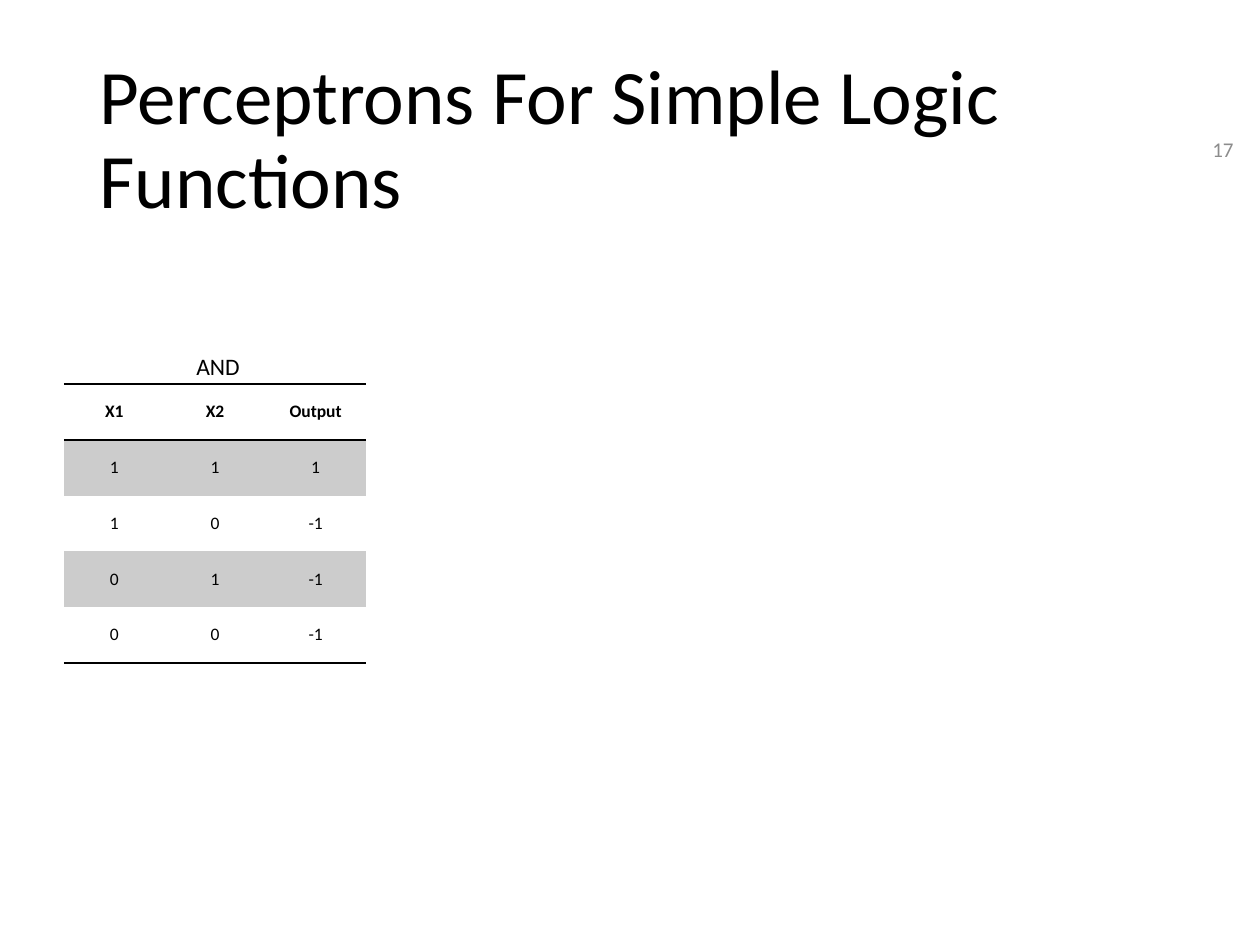
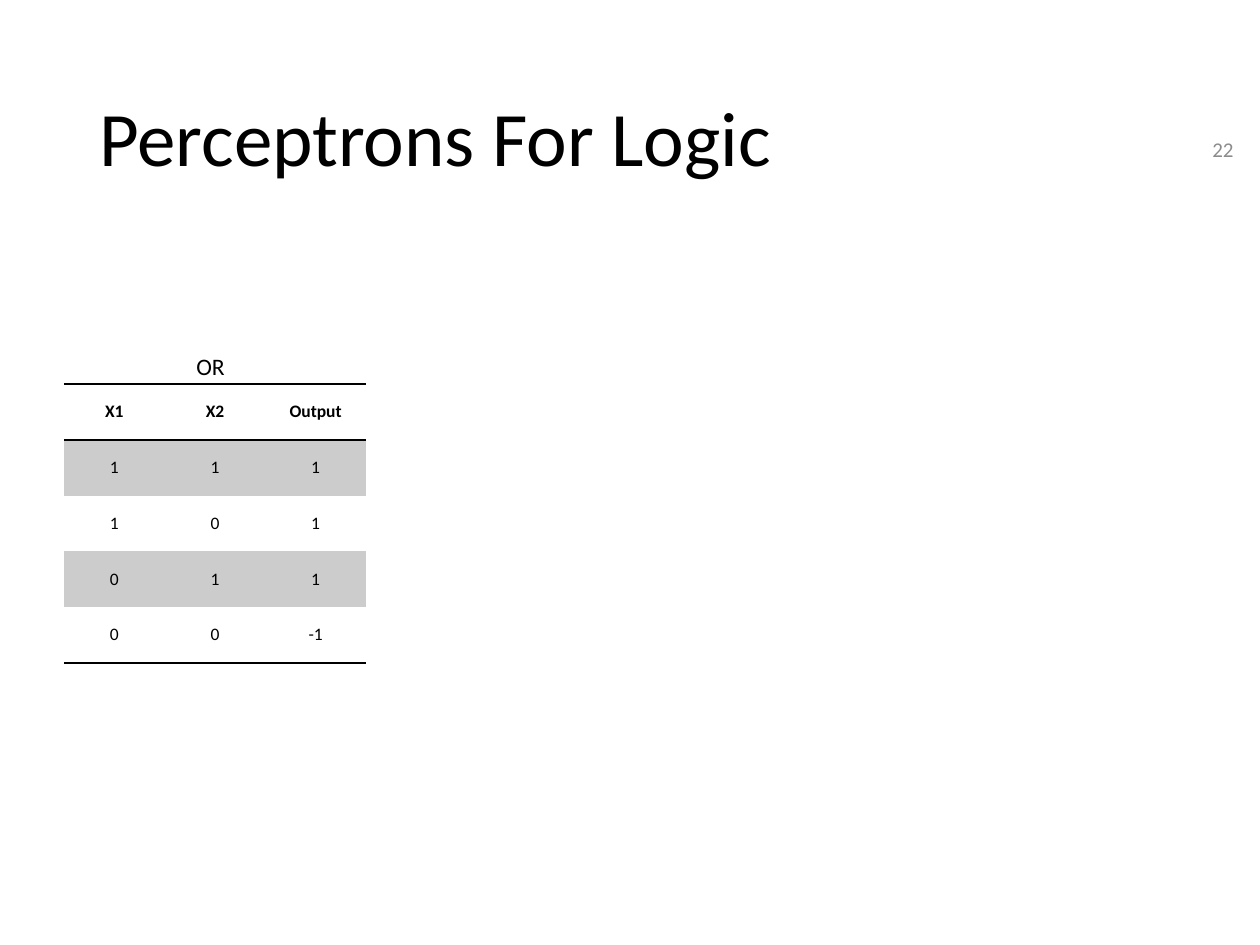
from itertools import product

from lxml import etree
from pptx import Presentation
from pptx import util as u
from pptx.dml.color import RGBColor
from pptx.enum import text as t
from pptx.oxml.ns import qn

BLACK, GREY, BAND = "000000", "8C8C8C", "CCCCCC"
FONT = "Calibri"
PLAIN_STYLE = "{2D5ABB26-0587-4C30-8999-92F81FD0307C}"  # no style, no grid
WIDTH, HEIGHT = 1260, 945
TITLE_BOX = (87, 50, 1086, 183)
NUMBER_BOX = (963, 130, 283, 38)
TABLE_BOX = (64, 384, 302, 279)


def px(n):
    return u.Emu(round(n * 914400 / 126))


def color(code):
    return RGBColor.from_string(code)


def write(frame, words, size, code=BLACK, bold=False, align=t.PP_ALIGN.LEFT,
          spacing=None):
    par = frame.paragraphs[0]
    par.alignment = align
    par.line_spacing = spacing
    run = par.add_run()
    run.text = words
    font = run.font
    font.name, font.size, font.bold = FONT, u.Pt(size), bold
    font.color.rgb = color(code)


def label(slide, box, words, size, anchor=t.MSO_ANCHOR.MIDDLE,
          fit=t.MSO_AUTO_SIZE.NONE, **style):
    frame = slide.shapes.add_textbox(*map(px, box)).text_frame
    frame.word_wrap = True
    frame.auto_size = fit
    frame.vertical_anchor = anchor
    write(frame, words, size, **style)


def rule(cell, side):
    """Draw a thin black border on side T or B of a cell."""
    line = etree.SubElement(cell._tc.get_or_add_tcPr(), qn("a:ln" + side),
                            w=str(u.Pt(1)))
    fill = etree.SubElement(line, qn("a:solidFill"))
    etree.SubElement(fill, qn("a:srgbClr"), val=BLACK)


def fill_cell(cell, words, row, last):
    head = row == 0
    cell.margin_left = cell.margin_right = px(9)
    cell.margin_top = cell.margin_bottom = px(5)
    cell.vertical_anchor = t.MSO_ANCHOR.MIDDLE
    if head:
        rule(cell, "T")
    if head or row == last:
        rule(cell, "B")
    if row % 2:
        cell.fill.solid()
        cell.fill.fore_color.rgb = color(BAND)
    else:
        cell.fill.background()
    write(cell.text_frame, words, 10, bold=head, align=t.PP_ALIGN.CENTER)


def truth_table(slide, box, name, gate):
    """Tabulate a gate (all or any) over two inputs, with its name above."""
    x, y, w, h = box
    rows = [("X1", "X2", "Output")]
    rows += [(*pair, 1 if gate(pair) else -1)
             for pair in product((1, 0), repeat=2)]
    table = slide.shapes.add_table(len(rows), len(rows[0]),
                                   *map(px, box)).table
    table._tbl.tblPr.find(qn("a:tableStyleId")).text = PLAIN_STYLE
    for col in table.columns:
        col.width = px(w / len(rows[0]))
    for r, row in enumerate(rows):
        table.rows[r].height = px(h / len(rows))
        for c, value in enumerate(row):
            fill_cell(table.cell(r, c), str(value), r, len(rows) - 1)
    label(slide, (x + 120, y - 38, 164, 42), name, 13.5,
          anchor=t.MSO_ANCHOR.TOP, fit=t.MSO_AUTO_SIZE.SHAPE_TO_FIT_TEXT)


def gate_slide(deck, title, number, name, gate):
    slide = deck.slides.add_slide(deck.slide_layouts[6])
    label(slide, TITLE_BOX, title, 44, spacing=0.9)
    label(slide, NUMBER_BOX, number, 12, code=GREY, align=t.PP_ALIGN.RIGHT)
    truth_table(slide, TABLE_BOX, name, gate)


def main():
    deck = Presentation()
    deck.slide_width, deck.slide_height = px(WIDTH), px(HEIGHT)
    gate_slide(deck, "Perceptrons For Simple Logic Functions", "17",
               "AND", all)
    gate_slide(deck, "Perceptrons For Logic", "22", "OR", any)
    deck.save("out.pptx")


if __name__ == "__main__":
    main()
